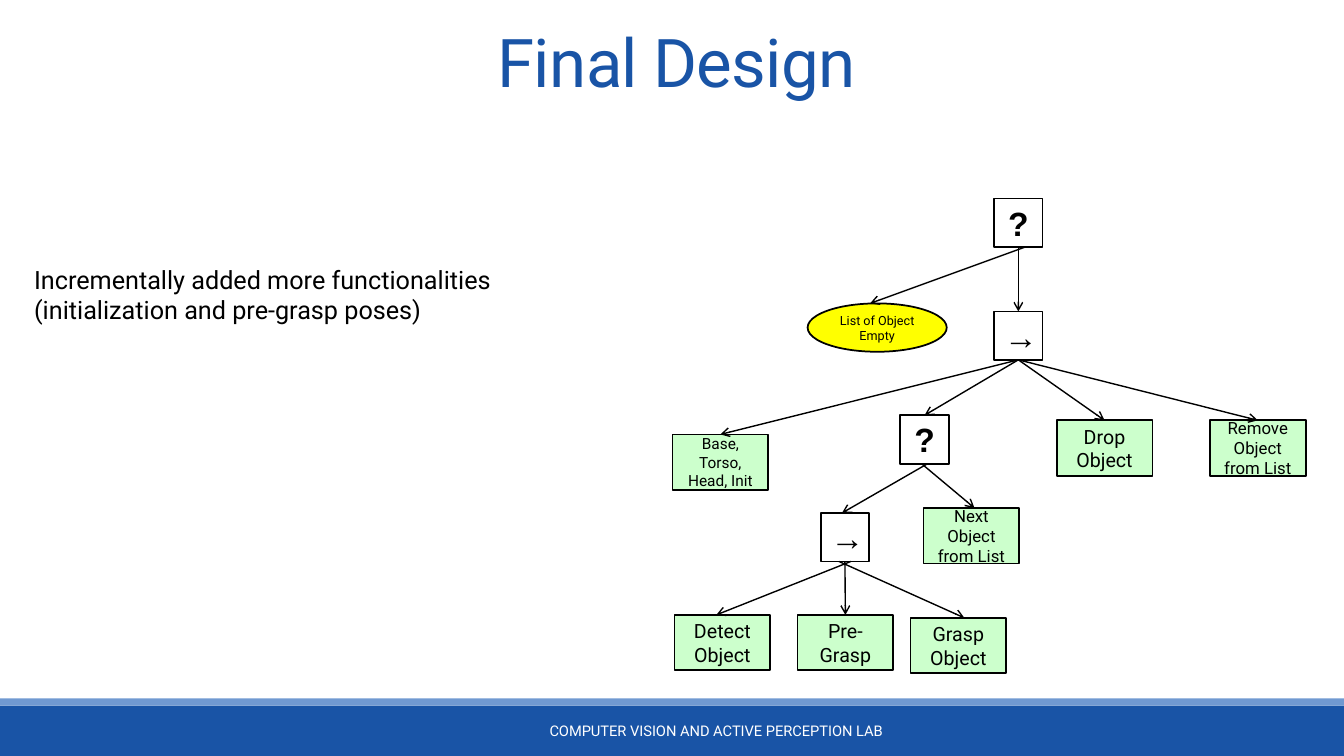
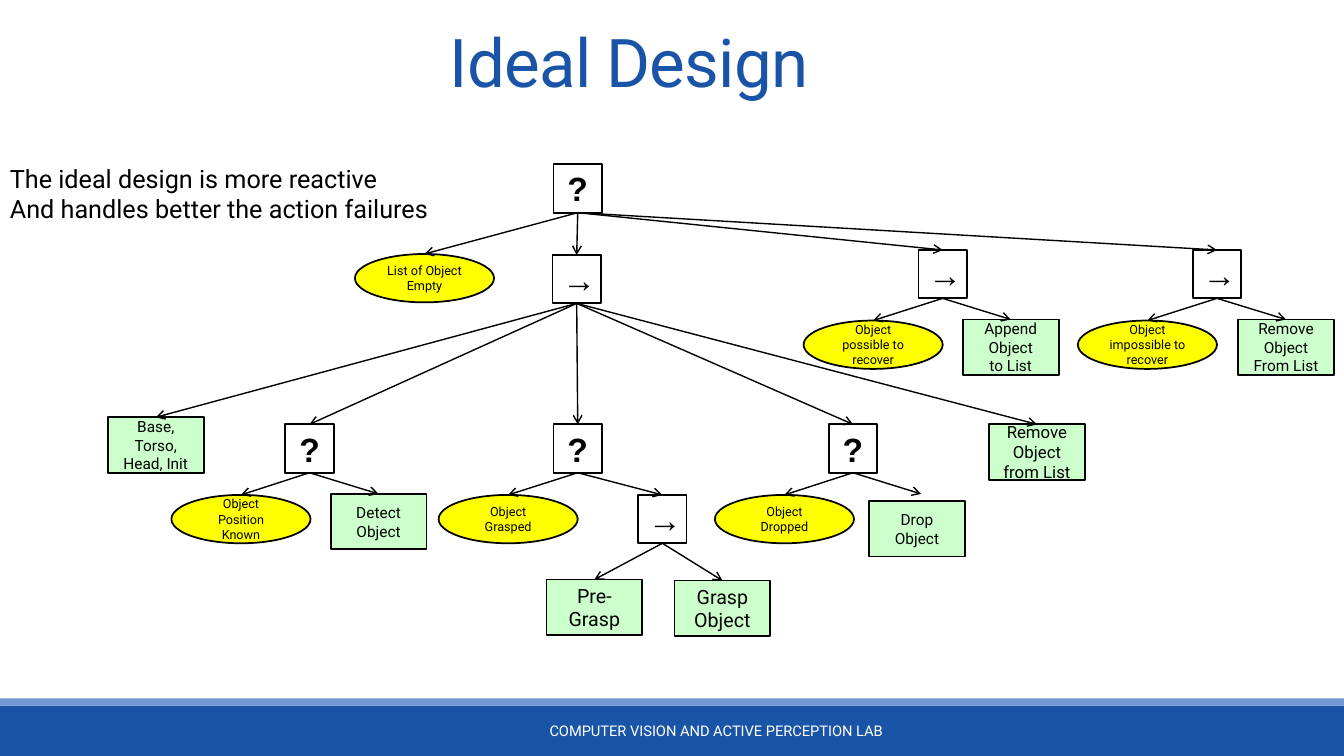
"""Builds two slides that compare behaviour trees for an object handling robot."""
from dataclasses import dataclass

from lxml import etree
from pptx import Presentation
from pptx import util as u
from pptx.dml.color import RGBColor
from pptx.enum import shapes, text
from pptx.oxml import ns

COLORS = {
    "blue": "1954A6",
    "light_blue": "7099D1",
    "white": "FFFFFF",
    "black": "000000",
    "yellow": "FFFF00",
    "green": "CCFFCC",
}
FOOTER = "COMPUTER VISION AND ACTIVE PERCEPTION LAB"
BOTTOM, TOP = 2, 0
RECTANGLE = shapes.MSO_SHAPE.RECTANGLE
CENTER = text.PP_ALIGN.CENTER
MIDDLE = text.MSO_ANCHOR.MIDDLE


@dataclass(frozen=True)
class Kind:
    """Look shared by all nodes of one kind."""
    outline: shapes.MSO_SHAPE
    width: float
    height: float
    fill: str
    size: float
    font: str = "Roboto"
    bold: bool = False


@dataclass(frozen=True)
class Node:
    """Tree node with its children and small shifts of its incoming arrow."""
    kind: Kind
    left: float
    top: float
    label: str
    size: float | None = None
    children: tuple["Node", ...] = ()
    start_dx: float = 0
    end_dx: float = 0
    end_dy: float = 0


@dataclass(frozen=True)
class TreeSlide:
    """Content of one slide."""
    title: str
    title_left: float
    note: str
    note_box: tuple[float, float, float, float]
    root: Node


CONTROL = Kind(RECTANGLE, 0.48, 0.48, "white", 24, "Arial", True)
CONDITION = Kind(shapes.MSO_SHAPE.OVAL, 1.38, 0.48, "yellow", 9)
ACTION = Kind(RECTANGLE, 0.95, 0.55, "green", 14)


def control(label: str, left: float, top: float, *children: Node, **shifts) -> Node:
    """Return a fallback or sequence node."""
    return Node(CONTROL, left, top, label, children=children, **shifts)


def condition(label: str, left: float, top: float, **shifts) -> Node:
    """Return a condition node."""
    return Node(CONDITION, left, top, label, **shifts)


def action(label: str, left: float, top: float, size: float = 14, **shifts) -> Node:
    """Return an action node."""
    return Node(ACTION, left, top, label, size, **shifts)


FINAL_TREE = control(
    "?", 9.86, 1.97,
    condition("List of Object Empty", 8.01, 3.01, start_dx=0.07, end_dx=-0.07),
    control(
        "→", 9.86, 3.09,
        action("Base, Torso, Head, Init", 6.67, 4.31, 11),
        control(
            "?", 8.93, 4.12,
            control(
                "→", 8.14, 5.09,
                action("Detect Object", 6.69, 6.1, start_dx=0.06, end_dx=-0.06),
                action("Pre-Grasp", 7.91, 6.1),
                action("Grasp Object", 9.03, 6.13, start_dx=-0.06, end_dx=0.06),
                start_dx=0.03, end_dx=-0.03,
            ),
            action("Next\nObject from List", 9.16, 5.04, 12, start_dx=-0.03, end_dx=0.03),
        ),
        action("Drop\nObject", 10.48, 4.17),
        action("Remove\nObject from List", 12, 4.17, 12),
    ),
)

IDEAL_TREE = control(
    "?", 5.49, 1.63,
    condition("List of Object Empty", 3.52, 2.52),
    control(
        "→", 5.48, 2.53,
        action("Base, Torso, Head, Init", 1.07, 4.14, 11),
        control(
            "?", 2.83, 4.21,
            condition("Object Position Known", 1.7, 4.91),
            action("Detect Object", 3.28, 4.9, 11),
        ),
        control(
            "?", 5.49, 4.21,
            condition("Object Grasped", 4.35, 4.91),
            control(
                "→", 6.33, 4.91,
                action("Pre-Grasp", 5.42, 5.75),
                action("Grasp Object", 6.69, 5.76),
            ),
        ),
        control(
            "?", 8.22, 4.21,
            condition("Object Dropped", 7.09, 4.91),
            action("Drop\nObject", 8.62, 4.97, 11, end_dx=0.04, end_dy=-0.07),
        ),
        action("Remove\nObject from List", 9.81, 4.21, 12),
    ),
    control(
        "→", 9.11, 2.48,
        condition("Object possible to recover", 7.97, 3.18),
        action("Append Object\nto List", 9.55, 3.17, 11),
    ),
    control(
        "→", 11.83, 2.48,
        condition("Object impossible to recover", 10.69, 3.18),
        action("Remove\nObject\nFrom List", 12.28, 3.17, 11),
    ),
)

SLIDES = (
    TreeSlide(
        "Final Design", 1.21,
        "Incrementally added more functionalities\n(initialization and pre-grasp poses)",
        (0.24, 2.57, 4.9, 0.71), FINAL_TREE,
    ),
    TreeSlide(
        "Ideal Design", 0.74,
        "The ideal design is more reactive\nAnd handles better the action failures",
        (0, 1.57, 4.51, 0.71), IDEAL_TREE,
    ),
)


def rgb(name: str) -> RGBColor:
    """Return a palette colour."""
    return RGBColor.from_string(COLORS[name])


def write_text(box, content: str, *, size: float, color: str = "black", font: str = "Roboto",
               bold: bool = False, align=CENTER, anchor=MIDDLE,
               line_spacing: float | None = None, tracking: float = 0) -> None:
    """Fill a box with one paragraph per line of content."""
    frame = box.text_frame
    frame.word_wrap = True
    frame.vertical_anchor = anchor
    for index, line in enumerate(content.split("\n")):
        para = frame.add_paragraph() if index else frame.paragraphs[0]
        para.alignment = align
        para.line_spacing = line_spacing
        span = para.add_run()
        span.text = line
        span.font.name = font
        span.font.size = u.Pt(size)
        span.font.bold = bold
        span.font.color.rgb = rgb(color)
        if tracking:
            span.font._element.set("spc", str(round(tracking * 100)))


def add_box(page, outline, left: float, top: float, width: float, height: float,
            fill: str, line: str | None = None):
    """Draw a filled preset shape."""
    box = page.shapes.add_shape(
        outline, u.Inches(left), u.Inches(top), u.Inches(width), u.Inches(height))
    box.shadow.inherit = False
    box.fill.solid()
    box.fill.fore_color.rgb = rgb(fill)
    if line:
        box.line.color.rgb = rgb(line)
        box.line.width = u.Pt(1.25)
    else:
        box.line.fill.background()
    return box


def add_label(page, content: str, left: float, top: float, width: float, height: float,
              **style) -> None:
    """Draw a plain text box."""
    box = page.shapes.add_textbox(
        u.Inches(left), u.Inches(top), u.Inches(width), u.Inches(height))
    write_text(box, content, **style)


def add_arrow(page, parent_box, child_box, child: Node) -> None:
    """Draw an arrow from a parent to its child, joined where it is not shifted."""
    arrow = page.shapes.add_connector(
        shapes.MSO_CONNECTOR.STRAIGHT,
        parent_box.left + parent_box.width // 2 + u.Inches(child.start_dx),
        parent_box.top + parent_box.height,
        child_box.left + child_box.width // 2 + u.Inches(child.end_dx),
        child_box.top + u.Inches(child.end_dy),
    )
    if not child.start_dx:
        arrow.begin_connect(parent_box, BOTTOM)
    if not (child.end_dx or child.end_dy):
        arrow.end_connect(child_box, TOP)
    arrow.line.color.rgb = rgb("black")
    arrow.line.width = u.Pt(1)
    etree.SubElement(arrow.line._get_or_add_ln(), ns.qn("a:tailEnd"), type="arrow")
    etree.SubElement(arrow._element.spPr, ns.qn("a:effectLst"))


def draw_tree(page, node: Node):
    """Draw a node and everything below it, and return its box."""
    kind = node.kind
    box = add_box(page, kind.outline, node.left, node.top, kind.width, kind.height,
                  kind.fill, "black")
    write_text(box, node.label, size=node.size or kind.size, font=kind.font, bold=kind.bold)
    for child in node.children:
        add_arrow(page, box, draw_tree(page, child), child)
    return box


def draw_frame(page, title: str, title_left: float) -> None:
    """Draw the bands, the title and the footer."""
    add_box(page, RECTANGLE, 0, 7, 13.33, 0.5, "blue")
    add_box(page, RECTANGLE, 0, 6.93, 13.33, 0.07, "light_blue")
    add_label(page, title, title_left, 0.13, 11, 0.92, size=48, color="blue",
              anchor=text.MSO_ANCHOR.BOTTOM, line_spacing=0.85, tracking=-0.5)
    add_label(page, FOOTER, 3.97, 7.05, 6.27, 0.4, size=10.5, color="white")


def main() -> None:
    """Build and save the deck."""
    deck = Presentation()
    deck.slide_width, deck.slide_height = u.Inches(13.33), u.Inches(7.5)
    for content in SLIDES:
        page = deck.slides.add_slide(deck.slide_layouts[6])
        draw_frame(page, content.title, content.title_left)
        draw_tree(page, content.root)
        add_label(page, content.note, *content.note_box, size=18,
                  align=text.PP_ALIGN.LEFT, anchor=text.MSO_ANCHOR.TOP)
    deck.save("out.pptx")


if __name__ == "__main__":
    main()
